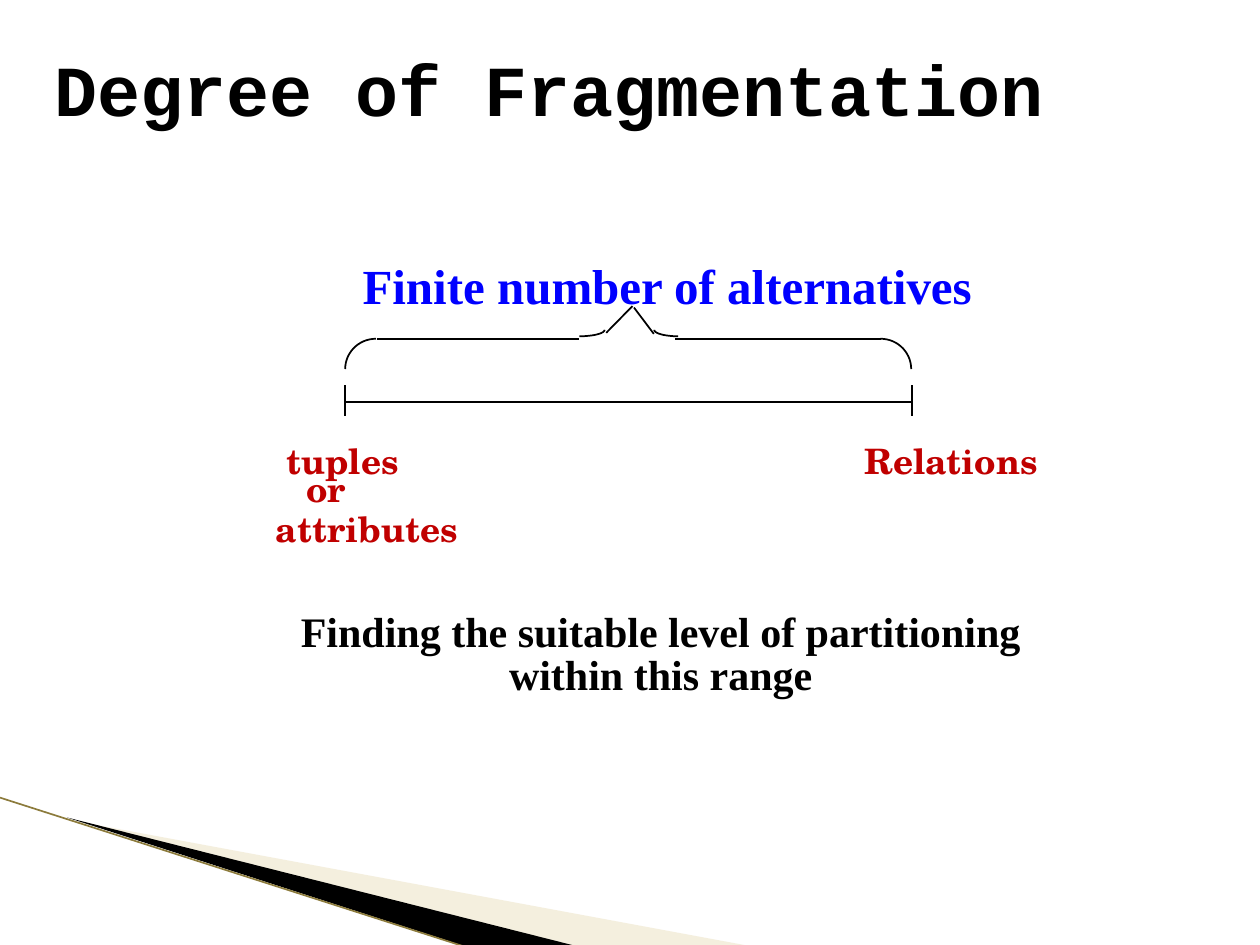
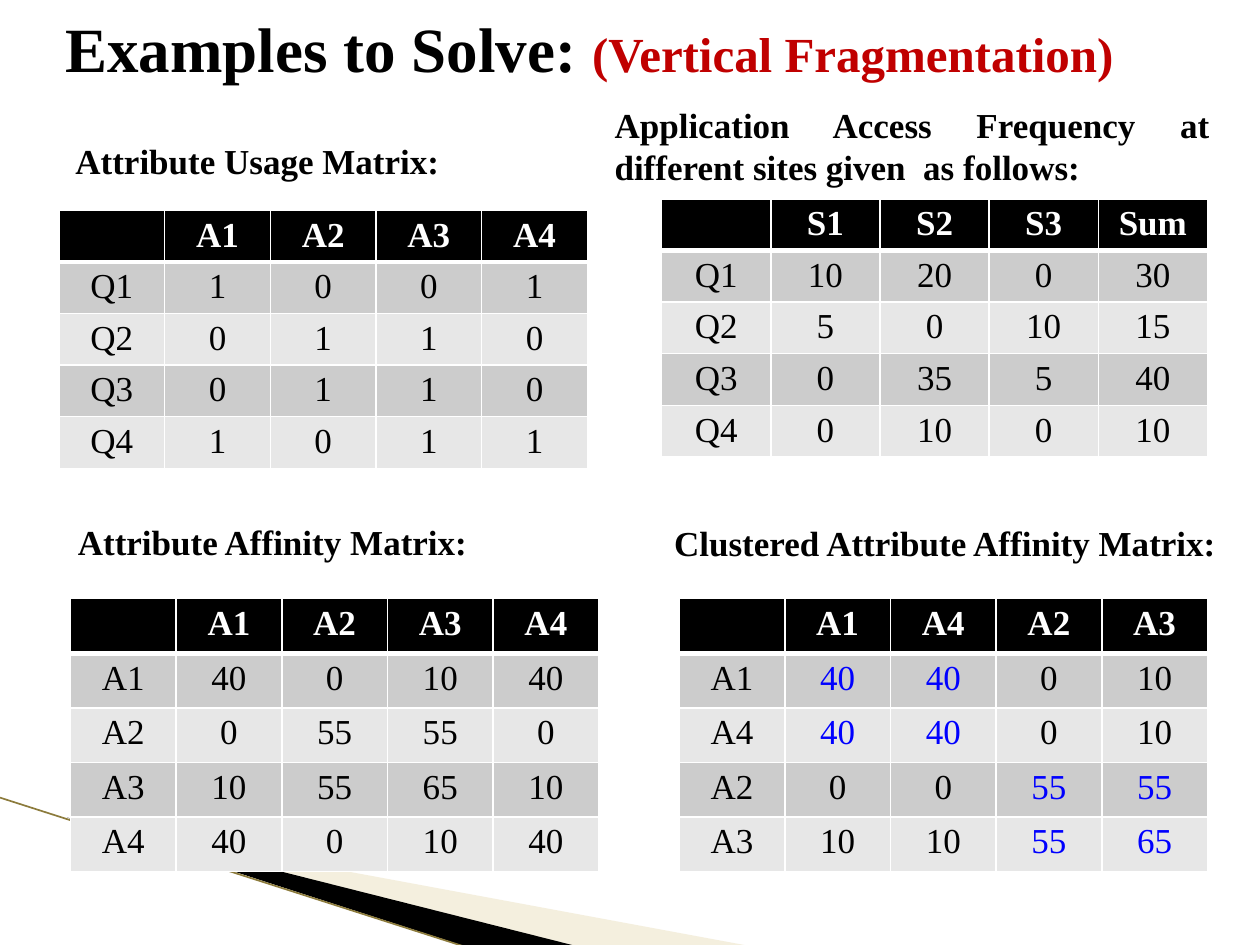
"""Build two slides on fragmentation: the degree diagram and the worked matrices."""
from dataclasses import dataclass
from math import cos, radians, sin

from lxml import etree
from pptx import Presentation
from pptx.dml.color import RGBColor
from pptx.enum.shapes import MSO_CONNECTOR
from pptx.enum.text import MSO_ANCHOR, MSO_AUTO_SIZE, PP_ALIGN
from pptx.oxml.ns import qn
from pptx.util import Cm, Pt

STRAIGHT = MSO_CONNECTOR.STRAIGHT
MIDDLE, TOP = MSO_ANCHOR.MIDDLE, MSO_ANCHOR.TOP
LEFT, CENTER, JUSTIFY = PP_ALIGN.LEFT, PP_ALIGN.CENTER, PP_ALIGN.JUSTIFY
NO_AUTOSIZE = MSO_AUTO_SIZE.NONE


@dataclass(frozen=True)
class Theme:
    black: str = "000000"
    white: str = "FFFFFF"
    red: str = "C00000"
    blue: str = "0000FF"
    sand: str = "E4D7AD"
    olive: str = "8C7B3C"
    row_fills: tuple = ("E7E7E7", "CCCCCC")
    serif: str = "Times New Roman"
    mono: str = "Courier New"
    school: str = "TeX Gyre Schola"
    display: int = 41
    title: int = 36
    subtitle: int = 28
    statement: int = 24
    body: int = 20


theme = Theme()


def add_text(slide, box, runs, font, wrap=True, anchor=TOP, **paragraph_format):
    shape = slide.shapes.add_textbox(*map(Cm, box))
    frame = shape.text_frame
    frame_format = {"word_wrap": wrap, "auto_size": NO_AUTOSIZE, "vertical_anchor": anchor}
    for name, value in frame_format.items():
        setattr(frame, name, value)
    paragraph = frame.paragraphs[0]
    for name, value in paragraph_format.items():
        setattr(paragraph, name, value)
    for text, size, color in runs:
        run = paragraph.add_run()
        run.text = text
        for name, value in {"name": font, "size": Pt(size), "bold": True}.items():
            setattr(run.font, name, value)
        run.font.color.rgb = RGBColor.from_string(color)


def add_line(slide, ends, color, width):
    line = slide.shapes.add_connector(STRAIGHT, *map(Cm, ends))
    line.line.color.rgb = RGBColor.from_string(color)
    line.line.width = Pt(width)
    etree.SubElement(line._element.spPr, qn("a:effectLst"))


presentation = Presentation()
presentation.slide_width = Cm(25.4)
presentation.slide_height = Cm(19.05)
blank_layout = presentation.slide_layouts[6]

bands = [
    (theme.sand, 40, [(1.4, 16.53), (15.11, 19.07), (11.58, 19.07)]),
    (theme.black, 100, [(1.35, 16.48), (11.61, 19.07), (9.45, 19.1)]),
]
slides = [presentation.slides.add_slide(blank_layout) for _ in range(2)]
for slide in slides:
    for color, opacity, corners in bands:
        points = [(Cm(x), Cm(y)) for x, y in corners]
        builder = slide.shapes.build_freeform(*points[0])
        builder.add_line_segments(points[1:], close=True)
        band = builder.convert_to_shape()
        band.shadow.inherit = False
        band.fill.solid()
        band.fill.fore_color.rgb = RGBColor.from_string(color)
        band.line.fill.background()
        fill_color = band._element.spPr.find(".//" + qn("a:srgbClr"))
        etree.SubElement(fill_color, qn("a:alpha"), val=str(opacity * 1000))
    add_line(slide, (0, 16.08, 9.42, 19.1), theme.olive, 0.95)

degree_slide, examples_slide = slides

add_text(degree_slide, (0.84, 1.07, 20.7, 1.4),
         [("Degree of Fragmentation", theme.display, theme.black)],
         theme.mono, anchor=MIDDLE)
add_text(degree_slide, (5.05, 12.24, 16.54, 2.9),
         [("Finding the suitable level of partitioning within this range",
           theme.statement, theme.black)],
         theme.serif, alignment=CENTER, line_spacing=0.85)
add_text(degree_slide, (7.06, 5.03, 12.93, 1.45),
         [("Finite number of alternatives", theme.subtitle, theme.blue)],
         theme.serif, wrap=False)

range_labels = [
    ("tuples", (5.53, 8.74, 2.72, 1.09)),
    ("or", (5.92, 9.3, 1.85, 1.09)),
    ("attributes", (5.31, 10.11, 4.19, 1.09)),
    ("Relations", (17.17, 8.74, 4.04, 1.09)),
]
for label, box in range_labels:
    add_text(degree_slide, box, [(label, theme.body, theme.red)], theme.school, wrap=False)

range_left, range_right = 6.96, 18.38
range_axis = [
    (range_left, 8.1, range_right, 8.1),
    (range_left, 7.77, range_left, 8.38),
    (range_right, 7.77, range_right, 8.38),
]
brace_lines = [
    (7.59, 6.83, 11.68, 6.83),
    (17.75, 6.83, 13.61, 6.83),
    (12.22, 6.71, 12.75, 6.17),
    (13.18, 6.73, 12.78, 6.2),
]
for ends in range_axis + brace_lines:
    add_line(degree_slide, ends, theme.black, 1)

brace_curves = [
    (7.58, 7.44, 0.62, 0.61, 180),
    (17.75, 7.44, 0.62, 0.61, 270),
    (11.68, 6.65, 0.51, 0.13, 0),
    (13.67, 6.65, 0.48, 0.13, 90),
]
for center_x, center_y, radius_x, radius_y, start in brace_curves:
    angles = [radians(start + step) for step in range(0, 91, 6)]
    points = [(Cm(center_x + radius_x * cos(angle)), Cm(center_y + radius_y * sin(angle)))
              for angle in angles]
    builder = degree_slide.shapes.build_freeform(*points[0])
    builder.add_line_segments(points[1:], close=False)
    curve = builder.convert_to_shape()
    curve.shadow.inherit = False
    curve.fill.background()
    curve.line.color.rgb = RGBColor.from_string(theme.black)
    curve.line.width = Pt(1)

add_text(examples_slide, (1.07, -0.64, 22.86, 3.18),
         [("Examples to Solve: ", theme.title, theme.black),
          ("(Vertical Fragmentation)", theme.subtitle, theme.red)],
         theme.serif, anchor=MIDDLE, alignment=JUSTIFY)

captions = [
    ("Attribute Usage Matrix:", (1.27, 2.69, 7.9, 1.12), False, LEFT),
    ("Application Access Frequency at different sites given  as follows:",
     (12.14, 1.96, 12.5, 1.96), True, JUSTIFY),
    ("Attribute Affinity Matrix:", (1.32, 10.36, 8.41, 1.12), False, LEFT),
    ("Clustered Attribute Affinity Matrix:", (13.34, 10.39, 11.51, 1.12), False, LEFT),
]
for caption, box, wrap, alignment in captions:
    add_text(examples_slide, box, [(caption, theme.body, theme.black)],
             theme.serif, wrap=wrap, alignment=alignment)

usage = [
    ["", "A1", "A2", "A3", "A4"],
    ["Q1", 1, 0, 0, 1],
    ["Q2", 0, 1, 1, 0],
    ["Q3", 0, 1, 1, 0],
    ["Q4", 1, 0, 1, 1],
]
frequency = [
    ["", "S1", "S2", "S3", "Sum"],
    ["Q1", 10, 20, 0, 30],
    ["Q2", 5, 0, 10, 15],
    ["Q3", 0, 35, 5, 40],
    ["Q4", 0, 10, 0, 10],
]
affinity = [
    ["", "A1", "A2", "A3", "A4"],
    ["A1", 40, 0, 10, 40],
    ["A2", 0, 55, 55, 0],
    ["A3", 10, 55, 65, 10],
    ["A4", 40, 0, 10, 40],
]
clustered = [
    ["", "A1", "A4", "A2", "A3"],
    ["A1", 40, 40, 0, 10],
    ["A4", 40, 40, 0, 10],
    ["A2", 0, 0, 55, 55],
    ["A3", 10, 10, 55, 65],
]
clusters = {(row, column) for block in ((1, 2), (3, 4)) for row in block for column in block}
matrices = [
    (usage, 1.19, 4.24, 2.13, 1.04, set()),
    (frequency, 13.34, 4.01, 2.2, 1.04, set()),
    (affinity, 1.42, 12.07, 2.13, 1.1, set()),
    (clustered, 13.69, 12.07, 2.13, 1.1, clusters),
]
cell_margins = {"margin_top": Cm(0.11), "margin_bottom": Cm(0.11)}
for matrix, left, top, column_width, row_height, highlights in matrices:
    size = len(matrix)
    table = examples_slide.shapes.add_table(
        size, size, Cm(left), Cm(top), Cm(column_width * size), Cm(row_height * size)).table
    for column in table.columns:
        column.width = Cm(column_width)
    for row in table.rows:
        row.height = Cm(row_height)
    for row_index, values in enumerate(matrix):
        header = row_index == 0
        for column_index, value in enumerate(values):
            cell = table.cell(row_index, column_index)
            for name, margin in cell_margins.items():
                setattr(cell, name, margin)
            heavy_side = {0: "lnB", 1: "lnT"}.get(row_index)
            for side in ("lnL", "lnR", "lnT", "lnB"):
                width = Pt(3 if side == heavy_side else 1)
                border = etree.SubElement(cell._tc.tcPr, qn("a:" + side), w=str(width))
                border_fill = etree.SubElement(border, qn("a:solidFill"))
                etree.SubElement(border_fill, qn("a:srgbClr"), val=theme.white)
            cell.fill.solid()
            fill = theme.black if header else theme.row_fills[row_index % 2]
            cell.fill.fore_color.rgb = RGBColor.from_string(fill)
            paragraph = cell.text_frame.paragraphs[0]
            paragraph.alignment = CENTER
            if value == "":
                continue
            run = paragraph.add_run()
            run.text = str(value)
            font_format = {"name": theme.serif, "size": Pt(theme.body), "bold": header}
            for name, setting in font_format.items():
                setattr(run.font, name, setting)
            color = theme.white if header else theme.black
            if (row_index, column_index) in highlights:
                color = theme.blue
            run.font.color.rgb = RGBColor.from_string(color)

presentation.save("out.pptx")
